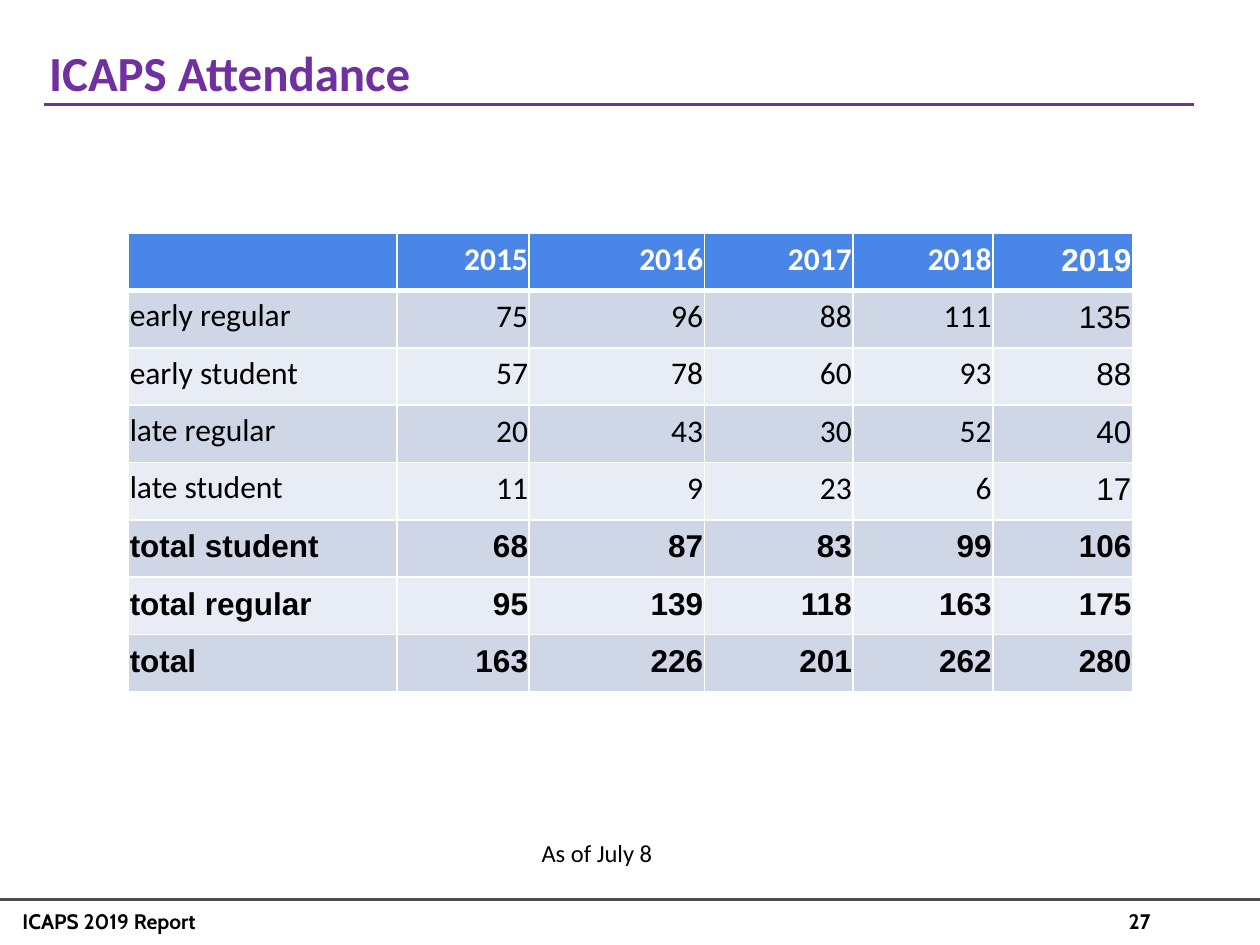
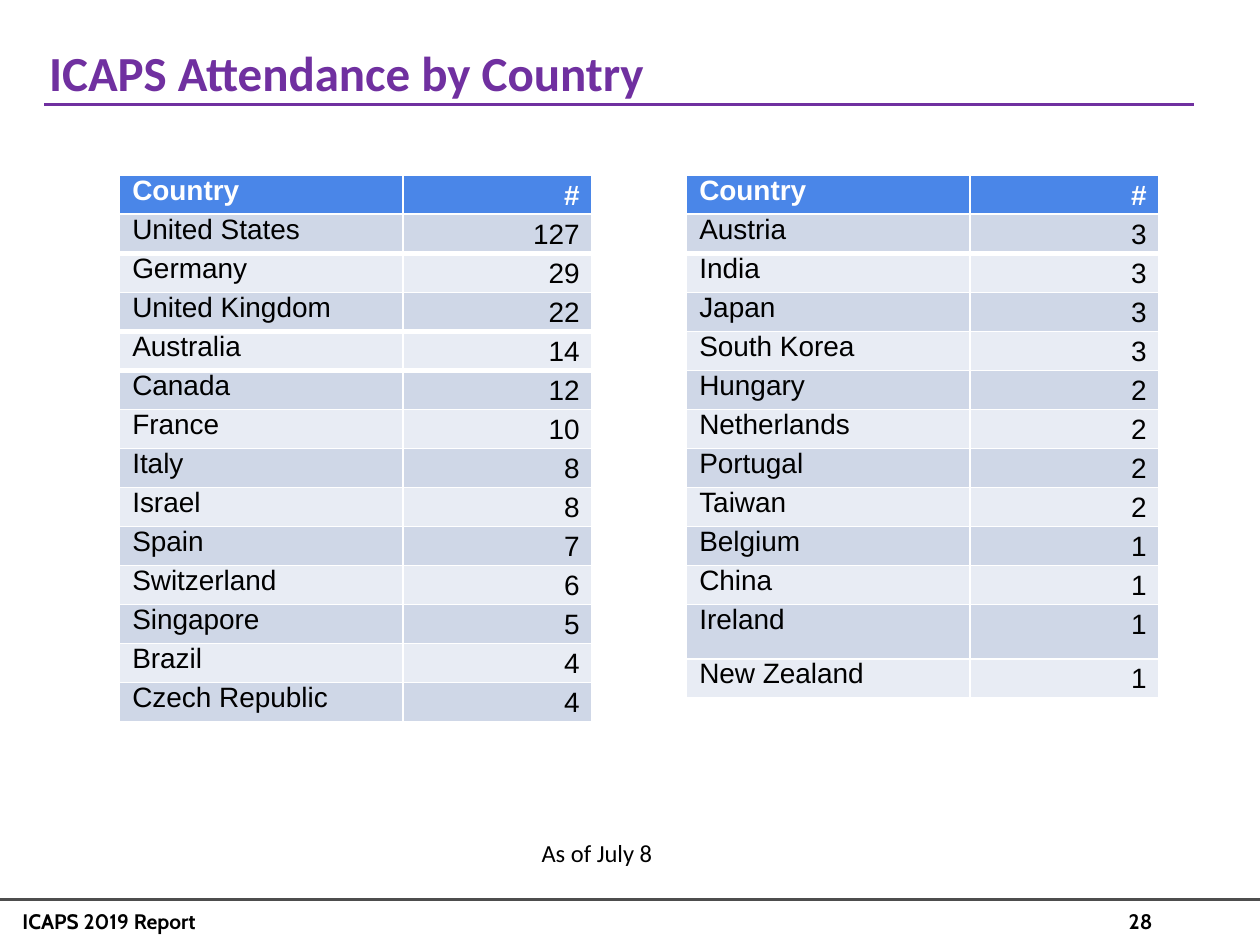
from dataclasses import dataclass, field

import lxml.etree
import pptx
import pptx.dml.color
import pptx.enum.shapes
import pptx.enum.text
import pptx.oxml.ns
import pptx.slide
import pptx.table
import pptx.text.text
import pptx.util

Inches = pptx.util.Inches
Pt = pptx.util.Pt
RGBColor = pptx.dml.color.RGBColor
Align = pptx.enum.text.PP_ALIGN
Anchor = pptx.enum.text.MSO_ANCHOR
qn = pptx.oxml.ns.qn

# Shared colours and fonts
PURPLE = RGBColor(0x70, 0x30, 0xA0)
FOOTER_GREY = RGBColor(0x4D, 0x4D, 0x4D)
BLACK = RGBColor(0x00, 0x00, 0x00)
WHITE = RGBColor(0xFF, 0xFF, 0xFF)
HEADER_BLUE = RGBColor(0x4A, 0x86, 0xE8)
BANDS = (RGBColor(0xE8, 0xEC, 0xF4), RGBColor(0xCF, 0xD7, 0xE7))

BODY_FONT = "Calibri"
TABLE_FONT = "Arial"
FOOTER_FONT = "Cabin"

THIN, THICK = 1, 3


@dataclass(frozen=True)
class TextStyle:
    size: float
    font: str
    color: RGBColor = BLACK
    bold: bool = False


@dataclass(frozen=True)
class Label:
    left: float
    top: float
    width: float
    height: float
    style: TextStyle
    inset_y: float = 0.05


@dataclass(frozen=True)
class TableLayout:
    """Place and look of a table; thick_below lists rows with a heavy lower edge."""
    left: float
    top: float
    columns: tuple[float, ...]
    row_height: float
    size: float
    insets: tuple[float, float, float, float]  # left, top, right, bottom
    anchor: Anchor
    thick_below: tuple[int, ...]
    body_font: str = TABLE_FONT
    total_rows: int = 0
    tall_rows: dict[int, float] = field(default_factory=dict)


TITLE_STYLE = TextStyle(28, BODY_FONT, PURPLE, True)
FOOTER_STYLE = TextStyle(12, FOOTER_FONT, BLACK, True)
REPORT_NAME = Label(0.08, 7.16, 5.16, 0.3, FOOTER_STYLE)
PAGE_NUMBER = Label(8.86, 7.16, 1.15, 0.3, FOOTER_STYLE)
AS_OF = Label(4.2, 6.55, 4.83, 0.56, TextStyle(14, BODY_FONT), 0.1)

# Attendance by year
ATTENDANCE = [
    ("", 2015, 2016, 2017, 2018, 2019),
    ("early regular", 75, 96, 88, 111, 135),
    ("early student", 57, 78, 60, 93, 88),
    ("late regular", 20, 43, 30, 52, 40),
    ("late student", 11, 9, 23, 6, 17),
    ("total student", 68, 87, 83, 99, 106),
    ("total regular", 95, 139, 118, 163, 175),
    ("total", 163, 226, 201, 262, 280),
]
ATTENDANCE_LAYOUT = TableLayout(
    1.02, 1.85, (2.13, 1.05, 1.39, 1.18, 1.11, 1.11), 0.45, 18,
    (0.01, 0.01, 0.01, 0.1), Anchor.BOTTOM, thick_below=(0,),
    body_font=BODY_FONT, total_rows=3)

# Attendance by country
COUNTRY_HEADER = ("Country", "#")
TOP_COUNTRIES = [
    COUNTRY_HEADER, ("United States", 127), ("Germany", 29),
    ("United Kingdom", 22), ("Australia", 14), ("Canada", 12),
    ("France", 10), ("Italy", 8), ("Israel", 8), ("Spain", 7),
    ("Switzerland", 6), ("Singapore", 5), ("Brazil", 4),
    ("Czech Republic", 4),
]
OTHER_COUNTRIES = [
    COUNTRY_HEADER, ("Austria", 3), ("India", 3), ("Japan", 3),
    ("South Korea", 3), ("Hungary", 2), ("Netherlands", 2),
    ("Portugal", 2), ("Taiwan", 2), ("Belgium", 1), ("China", 1),
    ("Ireland", 1), ("New Zealand", 1),
]


def country_layout(left: float, thick_below: tuple[int, ...],
                   tall_rows: dict[int, float]) -> TableLayout:
    return TableLayout(left, 1.39, (2.25, 1.5), 0.31, 16, (0.1, 0, 0.1, 0),
                       Anchor.TOP, thick_below, tall_rows=tall_rows)


def add_run(paragraph: pptx.text.text._Paragraph, text: str,
            style: TextStyle) -> None:
    run = paragraph.add_run()
    run.text = text
    run.font.size = Pt(style.size)
    run.font.name = style.font
    run.font.bold = style.bold
    run.font.color.rgb = style.color


def set_insets(frame: pptx.text.text.TextFrame, left: float, top: float,
               right: float, bottom: float) -> None:
    frame.margin_left, frame.margin_top = Inches(left), Inches(top)
    frame.margin_right, frame.margin_bottom = Inches(right), Inches(bottom)


def add_label(slide: pptx.slide.Slide, label: Label, text: str) -> None:
    box = slide.shapes.add_textbox(Inches(label.left), Inches(label.top),
                                   Inches(label.width), Inches(label.height))
    frame = box.text_frame
    frame.word_wrap = True
    set_insets(frame, 0.1, label.inset_y, 0.1, label.inset_y)
    add_run(frame.paragraphs[0], text, label.style)


def add_rule(slide: pptx.slide.Slide, left: float, right: float, y: float,
             color: RGBColor) -> None:
    rule = slide.shapes.add_connector(
        pptx.enum.shapes.MSO_CONNECTOR.STRAIGHT,
        Inches(left), Inches(y), Inches(right), Inches(y))
    rule.line.color.rgb = color
    rule.line.width = Pt(1.5)
    lxml.etree.SubElement(rule._element.spPr, qn("a:effectLst"))


def set_borders(cell: pptx.table._Cell, top: float, bottom: float) -> None:
    """Draw white edges; they must come before the fill in the cell properties."""
    properties = cell._tc.get_or_add_tcPr()
    edges = {"a:lnL": THIN, "a:lnR": THIN, "a:lnT": top, "a:lnB": bottom}
    for position, (tag, width) in enumerate(edges.items()):
        edge = lxml.etree.Element(qn(tag), w=str(Pt(width)))
        fill = lxml.etree.SubElement(edge, qn("a:solidFill"))
        lxml.etree.SubElement(fill, qn("a:srgbClr"), val=str(WHITE))
        properties.insert(position, edge)


def cell_style(layout: TableLayout, row: int, column: int,
               row_count: int) -> TextStyle:
    is_header = row == 0
    is_total = row >= row_count - layout.total_rows
    is_latest = column == len(layout.columns) - 1
    font = TABLE_FONT if is_total or is_latest else layout.body_font
    return TextStyle(layout.size, font, WHITE if is_header else BLACK,
                     is_header or is_total)


def add_data_table(slide: pptx.slide.Slide, layout: TableLayout,
                   rows: list[tuple]) -> None:
    heights = [layout.tall_rows.get(i, layout.row_height)
               for i in range(len(rows))]
    table = slide.shapes.add_table(
        len(rows), len(layout.columns), Inches(layout.left), Inches(layout.top),
        Inches(sum(layout.columns)), Inches(sum(heights))).table
    table.horz_banding = False
    for column, width in zip(table.columns, layout.columns):
        column.width = Inches(width)

    for r, values in enumerate(rows):
        table.rows[r].height = Inches(heights[r])
        top = THICK if r - 1 in layout.thick_below else THIN
        bottom = THICK if r in layout.thick_below else THIN
        for c, value in enumerate(values):
            cell = table.cell(r, c)
            cell.fill.solid()
            cell.fill.fore_color.rgb = BANDS[r % 2] if r else HEADER_BLUE
            cell.vertical_anchor = layout.anchor
            set_insets(cell, *layout.insets)
            set_borders(cell, top, bottom)
            paragraph = cell.text_frame.paragraphs[0]
            if c > 0:
                paragraph.alignment = Align.RIGHT
                paragraph.line_spacing = 1.15
            if value != "":
                add_run(paragraph, str(value),
                        cell_style(layout, r, c, len(rows)))


def add_report_slide(deck: pptx.presentation.Presentation, title: str,
                     page: int) -> pptx.slide.Slide:
    """Add a slide with the shared title, rules, footer and date note."""
    slide = deck.slides.add_slide(deck.slide_layouts.get_by_name("Title Only"))

    # Title
    heading = slide.shapes.title
    heading.left, heading.top = Inches(0.2), Inches(0.29)
    heading.width, heading.height = Inches(9), Inches(0.55)
    frame = heading.text_frame
    frame.auto_size = pptx.enum.text.MSO_AUTO_SIZE.NONE
    frame.vertical_anchor = Anchor.TOP
    set_insets(frame, 0.19, 0.05, 0.1, 0.05)
    frame.paragraphs[0].alignment = Align.LEFT
    add_run(frame.paragraphs[0], title, TITLE_STYLE)
    add_rule(slide, 0.35, 9.48, 0.83, PURPLE)

    # Footer and date note
    add_rule(slide, 0, 10, 7.14, FOOTER_GREY)
    add_label(slide, PAGE_NUMBER, str(page))
    add_label(slide, REPORT_NAME, "ICAPS 2019 Report")
    add_label(slide, AS_OF, "As of July 8")
    return slide


def main() -> None:
    deck = pptx.Presentation()
    deck.slide_width, deck.slide_height = Inches(10), Inches(7.5)

    by_year = add_report_slide(deck, "ICAPS Attendance", 27)
    add_data_table(by_year, ATTENDANCE_LAYOUT, ATTENDANCE)

    by_country = add_report_slide(deck, "ICAPS Attendance by Country", 28)
    add_data_table(by_country, country_layout(0.95, (1, 3, 4), {}),
                   TOP_COUNTRIES)
    add_data_table(by_country, country_layout(5.45, (1,), {11: 0.43}),
                   OTHER_COUNTRIES)

    deck.save("out.pptx")


if __name__ == "__main__":
    main()
